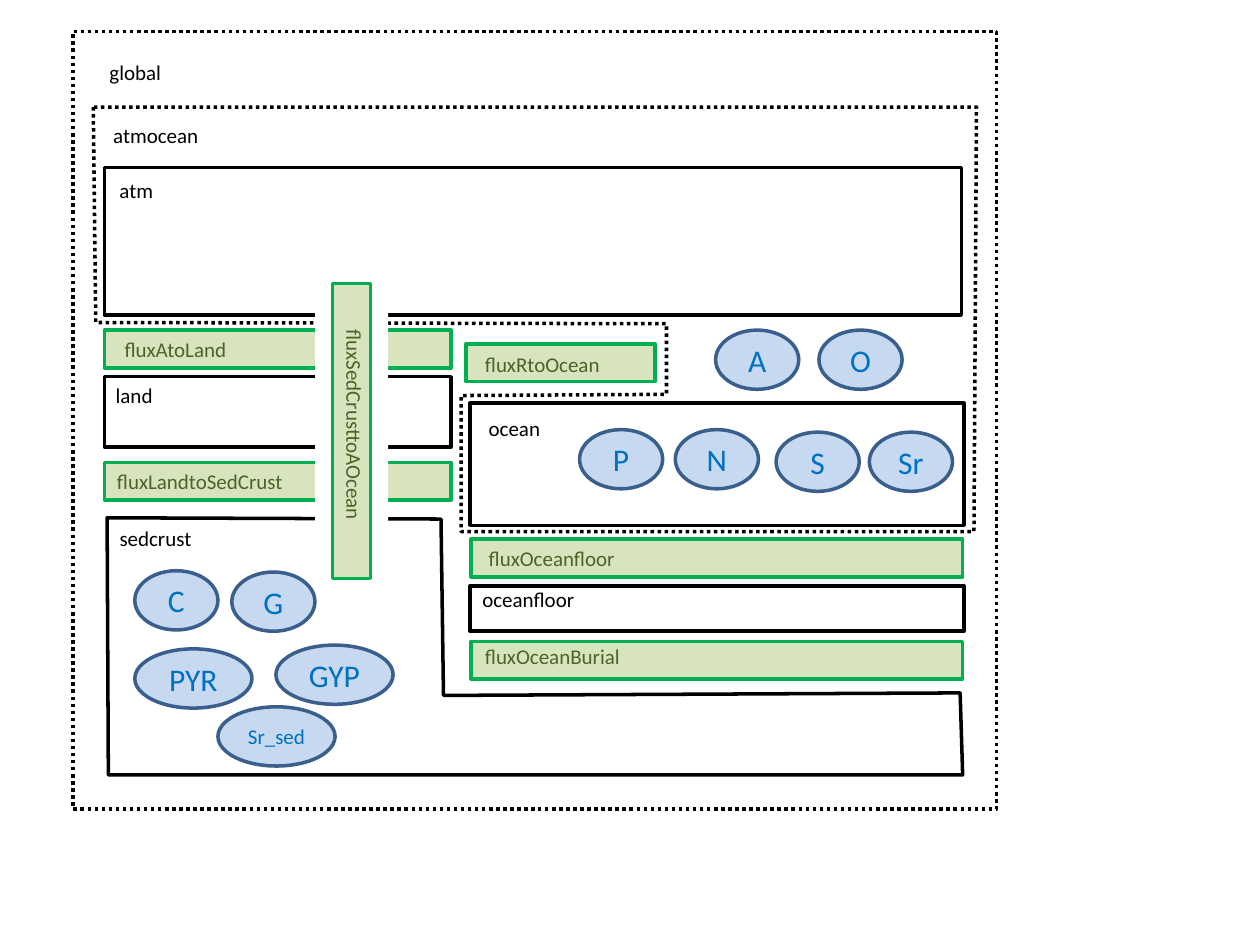
import pptx
import pptx.util
import pptx.dml.color
import pptx.enum.dml
import pptx.enum.shapes
import pptx.enum.text
from dataclasses import dataclass

SHAPES = pptx.enum.shapes.MSO_SHAPE
ALIGN = pptx.enum.text.PP_ALIGN
DOTTED = pptx.enum.dml.MSO_LINE.ROUND_DOT
CELL = 0.1  # inches: the slide is a grid of 100 columns by 75 rows
COLUMNS, ROWS = 100, 75
BAR, LABEL = 3, 3  # rows taken by a flux bar and by a label


@dataclass(frozen=True)
class Theme:
    font: str = "Calibri"
    small: int = 12
    large: int = 18
    outline: int = 2
    ink: str = "000000"
    paper: str = "FFFFFF"
    flux_fill: str = "D7E4BD"
    flux_line: str = "00B050"
    flux_text: str = "4F6228"
    pool_fill: str = "C6D9F1"
    pool_line: str = "3A5F8C"
    pool_text: str = "0070C0"


THEME = Theme()


@dataclass(frozen=True)
class Box:
    """A rectangle in grid columns and rows."""
    x: float
    y: float
    w: float
    h: float

    def inner(self, dx, dy, w, h):
        return Box(self.x + dx, self.y + dy, w, h)

    def lengths(self):
        return [cells(n) for n in (self.x, self.y, self.w, self.h)]


def cells(count):
    return pptx.util.Inches(round(count * CELL, 2))


def rgb(value):
    return pptx.dml.color.RGBColor.from_string(value)


def paint(shape, fill=None, line=None, dash=None):
    shape.shadow.inherit = False
    if fill:
        shape.fill.solid()
        shape.fill.fore_color.rgb = rgb(fill)
    else:
        shape.fill.background()
    if line:
        shape.line.color.rgb = rgb(line)
        shape.line.width = pptx.util.Pt(THEME.outline)
        if dash:
            shape.line.dash_style = dash
    else:
        shape.line.fill.background()
    return shape


def block(slide, box, kind=SHAPES.RECTANGLE, **look):
    return paint(slide.shapes.add_shape(kind, *box.lengths()), **look)


def outline(slide, box, corners, **look):
    points = [(cells(box.x + dx), cells(box.y + dy)) for dx, dy in corners]
    builder = slide.shapes.build_freeform(*points[0], scale=1.0)
    builder.add_line_segments(points[1:], close=True)
    return paint(builder.convert_to_shape(), **look)


def write(shape, text, size=THEME.small, color=THEME.ink, align=ALIGN.LEFT):
    shape.text_frame.word_wrap = False
    paragraph = shape.text_frame.paragraphs[0]
    paragraph.alignment = align
    run = paragraph.add_run()
    run.text = text
    run.font.name = THEME.font
    run.font.size = pptx.util.Pt(size)
    run.font.color.rgb = rgb(color)


def label(slide, box, text, dx, dy, width, color=THEME.ink):
    caption = slide.shapes.add_textbox(*box.inner(dx, dy, width, LABEL).lengths())
    caption.text_frame.auto_size = pptx.enum.text.MSO_AUTO_SIZE.SHAPE_TO_FIT_TEXT
    write(caption, text, color=color)
    return caption


def compartment(slide, box, name, dx, dy, width, dash=None):
    block(slide, box, line=THEME.ink, dash=dash)
    label(slide, box, name, dx, dy, width)


def flux(slide, box, name, dx, dy, width):
    bar = block(slide, box, fill=THEME.flux_fill, line=THEME.flux_line)
    return bar, label(slide, box, name, dx, dy, width, THEME.flux_text)


def pools(slide, box, reservoirs, width=6.6, size=THEME.large):
    for name, dx, dy in reservoirs:
        pool = block(slide, box.inner(dx, dy, width, 4.7), SHAPES.OVAL,
                     fill=THEME.pool_fill, line=THEME.pool_line)
        pool.text_frame.vertical_anchor = pptx.enum.text.MSO_ANCHOR.MIDDLE
        write(pool, name, size, THEME.pool_text, ALIGN.CENTER)


def land_region(slide, box):
    flux(slide, box.inner(0, 0, box.w, BAR), "fluxAtoLand", 0.6, 0, 10.2)
    compartment(slide, box.inner(0, 3.7, box.w, 5.6), "land", -0.1, 0, 5)
    flux(slide, box.inner(0, 10.5, box.w, BAR), "fluxLandtoSedCrust", 0, 0, 15.3)


def atmocean_region(slide, box):
    # Dotted border stepping around the land
    outline(slide, box, [(0, 0), (0.2, 17.1), (45.5, 17.2), (45.5, 22.8), (29.2, 22.9),
                         (29.2, box.h), (69.9, box.h), (box.w, 0)],
            line=THEME.ink, dash=DOTTED)
    label(slide, box, "atmocean", 0.6, 0.7, 8.9)
    compartment(slide, box.inner(0.9, 4.8, 68, 11.7), "atm", 0.2, 0.3, 4.7)
    flux(slide, box.inner(29.6, 18.8, 15, BAR), "fluxRtoOcean", 0.5, 0.1, 11.2)
    pools(slide, box, [("A", 49.4, 17.7), ("O", 57.6, 17.7)])
    # Ocean and its pools
    ocean = box.inner(29.9, 23.5, 39.2, 9.7)
    compartment(slide, ocean, "ocean", 0.5, 0.5, 6.2)
    pools(slide, ocean, [("P", 8.7, 2.1), ("N", 16.3, 2.1), ("S", 24.3, 2.3), ("Sr", 31.7, 2.3)])


def oceanfloor_region(slide, box):
    flux(slide, box.inner(0.1, 0, 39, BAR), "fluxOceanfloor", 0.4, 0, 12.1)
    compartment(slide, box.inner(0, 3.7, box.w, 3.6), "oceanfloor", 0, -0.4, 9.4)
    flux(slide, box.inner(0.1, 8.1, 39, BAR), "fluxOceanBurial", 0.1, -0.3, 12.8)


def sedcrust_region(slide, box):
    outline(slide, box, [(0, 0), (26.5, 0.1), (26.7, 14.1), (67.7, 13.9),
                         (box.w, box.h), (0.1, box.h)], line=THEME.ink)
    label(slide, box, "sedcrust", 0, 0.1, 7.8)
    pools(slide, box, [("Sr_sed", 8.8, 15)], width=9.3, size=THEME.small)
    pools(slide, box, [("C", 2.2, 4.2), ("G", 9.9, 4.3)])
    pools(slide, box, [("PYR", 2.2, 10.4), ("GYP", 13.4, 10.1)], width=9.3)


def conduit(slide, box):
    # White gap, then a flux bar turned upright about the centre of the gap
    block(slide, box, fill=THEME.paper)
    lying = box.inner((box.w - box.h) / 2, (box.h - BAR) / 2, box.h, BAR)
    for upright in flux(slide, lying, "fluxSedCrusttoAOcean", 3.3, -0.4, 17.3):
        upright.rotation = 90


def global_region(slide, box):
    land_region(slide, box.inner(2.5, 23.7, 27.5, 13.5))
    oceanfloor_region(slide, box.inner(31.5, 40.3, 39.2, 11.1))
    sedcrust_region(slide, box.inner(2.7, 38.6, 67.9, 20.4))
    atmocean_region(slide, box.inner(1.6, 6, 70.1, 33.7))
    compartment(slide, box, "global", 1.9, 1.7, 6.2, dash=DOTTED)
    conduit(slide, box.inner(19.2, 20, 5.8, 23.4))


def main():
    deck = pptx.Presentation()
    deck.slide_width, deck.slide_height = cells(COLUMNS), cells(ROWS)
    slide = deck.slides.add_slide(deck.slide_layouts[6])
    global_region(slide, Box(5.8, 2.5, 73.3, 61.7))
    deck.save("out.pptx")


if __name__ == "__main__":
    main()
